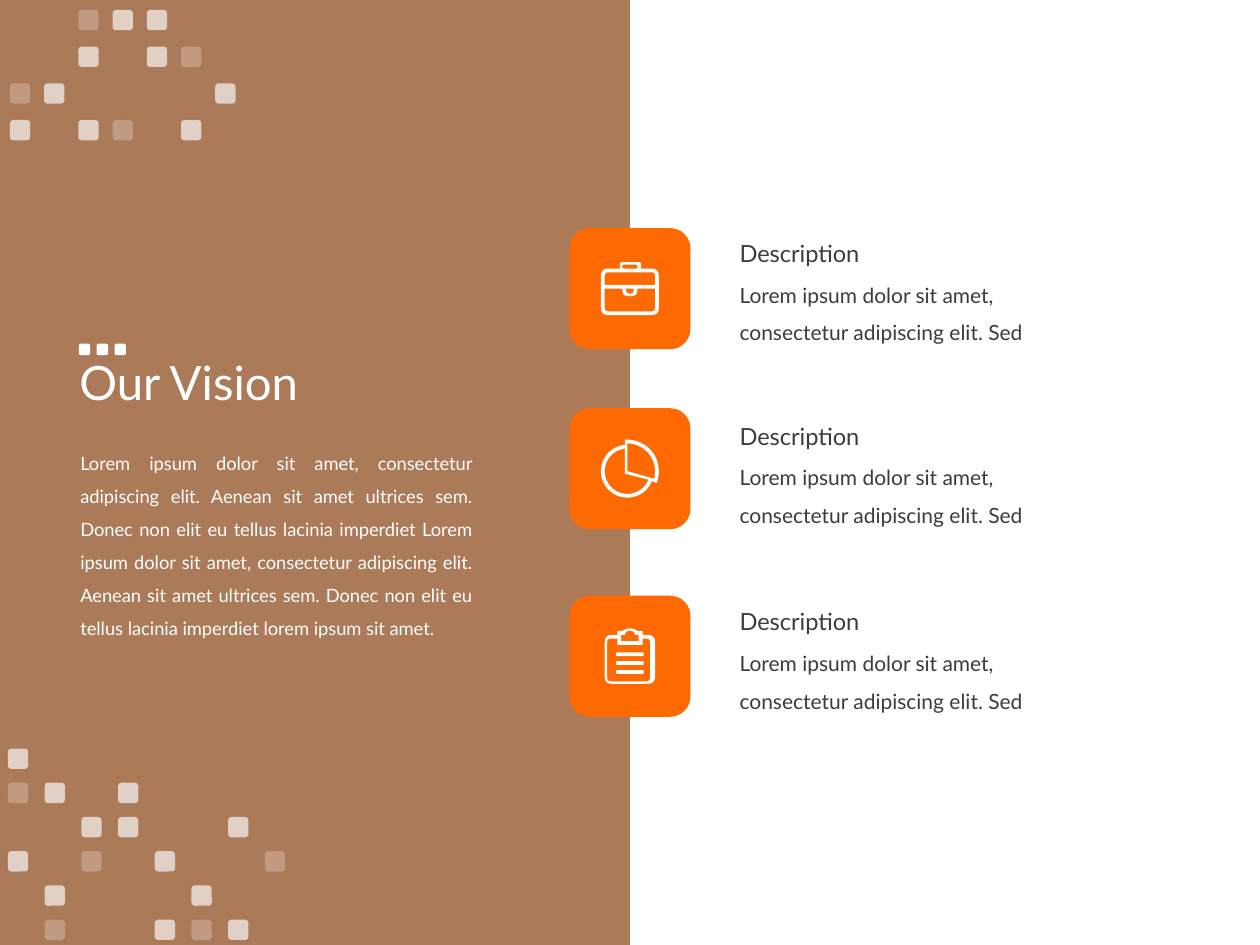
from math import cos, hypot, radians, sin

from lxml import etree
from pptx import Presentation
from pptx.dml.color import RGBColor
from pptx.enum.shapes import MSO_SHAPE
from pptx.enum.text import MSO_ANCHOR, MSO_AUTO_SIZE, PP_ALIGN
from pptx.oxml.ns import qn
from pptx.util import Cm, Pt

RECT, ROUNDED = MSO_SHAPE.RECTANGLE, MSO_SHAPE.ROUNDED_RECTANGLE
TOP, MIDDLE = MSO_ANCHOR.TOP, MSO_ANCHOR.MIDDLE
LEFT, JUSTIFY = PP_ALIGN.LEFT, PP_ALIGN.JUSTIFY
FIT_SHAPE, NO_FIT = MSO_AUTO_SIZE.SHAPE_TO_FIT_TEXT, MSO_AUTO_SIZE.NONE

BROWN = RGBColor(0x7F, 0x34, 0x01)
ORANGE = RGBColor(0xFE, 0x69, 0x02)
WHITE = RGBColor(0xFF, 0xFF, 0xFF)
GREY = RGBColor(0x3C, 0x3C, 0x3C)

FINE = 100  # freeform steps per icon unit
ICON_UNIT = Cm(0.0254)

# Opacity in percent of each mark in a mosaic
OPACITY = {"#": 65, "+": 25, "@": 100}
TOP_MOSAIC = ["..+##..", "..#.#+.", "+#....#", "#.#+.#."]
BOTTOM_MOSAIC = ["#.......", "+#.#....", "..##..#.", "#.+.#..+", ".#...#..", ".+..#+#."]

VISION = (
    "Lorem ipsum dolor sit amet, consectetur adipiscing elit. Aenean sit amet "
    "ultrices sem. Donec non elit eu tellus lacinia imperdiet Lorem ipsum dolor "
    "sit amet, consectetur adipiscing elit. Aenean sit amet ultrices sem. Donec "
    "non elit eu tellus lacinia imperdiet lorem ipsum sit amet."
)
DETAIL = "Lorem ipsum dolor sit amet, consectetur adipiscing elit. Sed"


def rounded(*corners):
    """Outline through (x, y[, radius]) corners, rounding those with a radius."""
    points = []
    for i, (x, y, *radius) in enumerate(corners):
        if not radius:
            points.append((x, y))
            continue
        ends = []
        for nx, ny, *_ in (corners[i - 1], corners[(i + 1) % len(corners)]):
            share = radius[0] / hypot(nx - x, ny - y)
            ends.append((x + (nx - x) * share, y + (ny - y) * share))
        (ax, ay), (bx, by) = ends
        for t in (0, 0.2, 0.4, 0.6, 0.8, 1):
            a, c, b = (1 - t) ** 2, 2 * t * (1 - t), t * t
            points.append((a * ax + c * x + b * bx, a * ay + c * y + b * by))
    return points


def box(x1, y1, x2, y2, r):
    return rounded((x1, y1, r), (x2, y1, r), (x2, y2, r), (x1, y2, r))


def arc(radius, start, end, cx=46, cy=50, steps=40):
    """Points on a pie arc, with angles in degrees clockwise from the right."""
    angles = [radians(start + (end - start) * i / steps) for i in range(steps + 1)]
    return [(cx + radius * cos(a), cy + radius * sin(a)) for a in angles]


BRIEFCASE = [
    rounded((25, 32, 6), (40, 32), (40, 27, 2), (57, 27, 2), (57, 32),
            (71, 32, 6), (71, 69, 6), (25, 69, 6)),
    box(42, 29, 54, 32, 1),
    rounded((28, 35, 3), (68, 35, 3), (68, 45), (28, 45)),
    rounded((28, 48), (42, 48), (42, 54, 5), (54, 54, 5), (54, 48),
            (68, 48), (68, 66, 3), (28, 66, 3)),
    rounded((45, 48), (51, 48), (51, 52, 3), (45, 52, 3)),
]
PIE = [
    [(44, 25)] + arc(25, -90, 22) + arc(21, 22, 265),
    arc(18, 22, 264) + [(44, 52)],
    [(46, 50)] + arc(22, -90, 16),
]
CLIPBOARD = [
    rounded((28, 31, 6), (38, 31), (38, 28), (42, 28), (45, 26, 2), (51, 26, 2),
            (54, 28), (58, 28), (58, 31), (68, 31, 6), (68, 70, 6), (28, 70, 6)),
    rounded((41, 31), (44, 31), (45, 28, 2), (51, 28, 2), (52, 31), (55, 31),
            (55, 36), (41, 36)),
    rounded((30, 34, 3), (38, 34), (38, 39), (58, 39), (58, 34), (64, 34, 3),
            (64, 68, 3), (30, 68, 3)),
    *(box(37, y, 59, y + 3, 1) for y in (45, 52, 59)),
]


class Deck:
    font = "Lato"

    def __init__(self, width, height):
        self.prs = Presentation()
        self.prs.slide_width, self.prs.slide_height = Cm(width), Cm(height)
        self.slide = self.prs.slides.add_slide(self.prs.slide_layouts[6])
        self.shapes = self.slide.shapes

    def paint(self, sp, color, opacity=100):
        sp.shadow.inherit = False
        sp.line.fill.background()
        sp.fill.solid()
        sp.fill.fore_color.rgb = color
        if opacity < 100:
            clr = sp.fill._xPr.find(f"{qn('a:solidFill')}/{qn('a:srgbClr')}")
            etree.SubElement(clr, qn("a:alpha"), val=str(opacity * 1000))

    def shape(self, kind, x, y, w, h, color, opacity=100, parent=None):
        sp = (parent or self.shapes).add_shape(kind, Cm(x), Cm(y), Cm(w), Cm(h))
        self.paint(sp, color, opacity)

    def mosaic(self, rows, x, y, dx, dy, size):
        """Group of small white squares, one for each mark in the rows."""
        parent = self.shapes.add_group_shape().shapes
        for j, row in enumerate(rows):
            for i, mark in enumerate(row):
                if mark in OPACITY:
                    self.shape(ROUNDED, x + i * dx, y + j * dy, size, size,
                               WHITE, OPACITY[mark], parent)

    def icon(self, outlines, x, y):
        fb = None
        for outline in outlines:
            first, *rest = [(px * FINE, py * FINE) for px, py in outline]
            if fb is None:
                fb = self.shapes.build_freeform(*first, scale=ICON_UNIT / FINE)
            else:
                fb.move_to(*first)
            fb.add_line_segments(rest, close=True)
        self.paint(fb.convert_to_shape(Cm(x), Cm(y)), WHITE)

    def text(self, text, x, y, w, h, size, color, spacing=1.0,
             align=LEFT, anchor=TOP, fit=FIT_SHAPE):
        tf = self.shapes.add_textbox(Cm(x), Cm(y), Cm(w), Cm(h)).text_frame
        tf.word_wrap = True
        tf.auto_size = fit
        tf.vertical_anchor = anchor
        p = tf.paragraphs[0]
        p.text = text
        p.alignment = align
        p.line_spacing = spacing
        p.font.name, p.font.size = self.font, Pt(size)
        p.font.color.rgb = color


def main():
    deck = Deck(25.4, 19.05)
    deck.shape(RECT, 0, 0, 12.7, 19.05, BROWN, 65)
    deck.text("Our Vision", 1.35, 5.64, 21.89, 4.24, 27, WHITE, 0.9,
              anchor=MIDDLE, fit=NO_FIT)
    deck.text(VISION, 1.37, 8.76, 8.41, 4.22, 10.5, WHITE, 1.5, align=JUSTIFY)

    items = [(BRIEFCASE, 4.6, 4.7), (PIE, 8.23, 8.38), (CLIPBOARD, 12.01, 12.12)]
    for outlines, badge_y, text_y in items:
        deck.shape(ROUNDED, 11.48, badge_y, 2.44, 2.44, ORANGE)
        deck.icon(outlines, 11.48, badge_y)
        deck.text(DETAIL, 14.66, text_y + 0.61, 7.57, 1.7, 12, GREY, 1.5)
        deck.text("Description", 14.66, text_y, 4.47, 0.84, 13.5, GREY)

    deck.mosaic(["@@@"], 1.59, 6.93, 0.36, 0.36, 0.23)
    deck.mosaic(BOTTOM_MOSAIC, 0.16, 15.09, 0.74, 0.69, 0.41)
    deck.mosaic(TOP_MOSAIC, 0.2, 0.2, 0.69, 0.74, 0.41)
    deck.prs.save("out.pptx")


if __name__ == "__main__":
    main()
